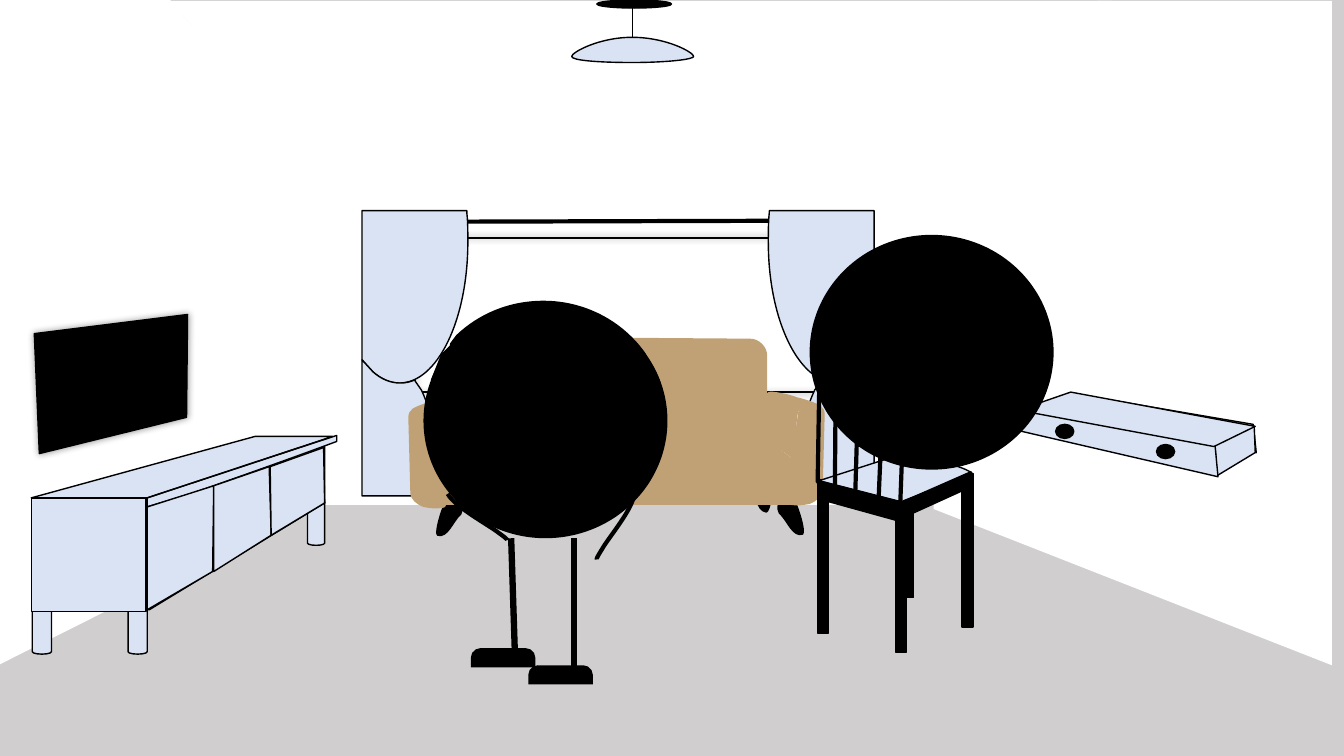
from dataclasses import dataclass

from lxml import etree
from pptx import Presentation
from pptx.dml.color import RGBColor
from pptx.enum.shapes import MSO_CONNECTOR, MSO_SHAPE as Shape
from pptx.oxml.ns import qn
from pptx.util import Inches, Pt

COLOURS = {"floor": "D0CECE", "wall": "FFFFFF", "ink": "000000",
           "furniture": "DAE3F3", "sofa": "C0A175"}
CELL = Inches(0.01)


def colour(name):
    return RGBColor.from_string(COLOURS[name])


def add_glow_shadow(shape):
    shadow = etree.SubElement(shape._element.spPr.find(qn("a:effectLst")), qn("a:outerShdw"),
                              blurRad=str(Pt(5)), dist="0", dir="0", rotWithShape="0")
    tint = etree.SubElement(shadow, qn("a:srgbClr"), val=COLOURS["ink"])
    etree.SubElement(tint, qn("a:alpha"), val="40000")


def style(shape, fill, line):
    shape.shadow.inherit = False
    if fill:
        shape.fill.solid()
        shape.fill.fore_color.rgb = colour(fill)
    else:
        shape.fill.background()
    if line:
        shape.line.color.rgb = colour("ink")
        shape.line.width = Pt(line)
    else:
        shape.line.fill.background()
    return shape


def read_outline(outline):
    """Split "x,y C x,y x,y x,y / ..." into point lists and the segments where curves start."""
    parts, curve_starts, segment_count = [], [], 0
    for part in outline.split("/"):
        points = []
        for token in part.split():
            if token == "C":
                curve_starts.append(segment_count + len(points) - 1)
            else:
                points.append(tuple(int(number) for number in token.split(",")))
        segment_count += len(points) - 1
        parts.append(points)
    return parts, curve_starts


def bend(shape, curve_starts):
    """Join three straight segments into one Bezier curve at each start."""
    segments = list(shape._element.spPr.iter(qn("a:lnTo")))
    for start in curve_starts:
        curve, *others = segments[start:start + 3]
        curve.tag = qn("a:cubicBezTo")
        for other in others:
            curve.append(other[0])
            other.getparent().remove(other)


@dataclass
class Box:
    """A region with its origin in inches, ruled in cells of 0.01 inch."""
    slide: object
    left: float
    top: float
    across: int = 1  # -1 mirrors the region

    def place(self, x, y):
        return Inches(self.left) + self.across * x * CELL, Inches(self.top) + y * CELL

    def draw(self, outline, fill="furniture", line=1, close=True):
        parts, curve_starts = read_outline(outline)
        builder = None
        for points in parts:
            start, *rest = [self.place(*point) for point in points]
            if builder is None:
                builder = self.slide.shapes.build_freeform(*start)
            else:
                builder.move_to(*start)
            builder.add_line_segments(rest, close=close)
        shape = builder.convert_to_shape()
        bend(shape, curve_starts)
        return style(shape, fill, line)

    def preset(self, kind, x, y, width, height, fill="ink", line=1):
        shape = self.slide.shapes.add_shape(kind, *self.place(x, y), width * CELL, height * CELL)
        return style(shape, fill, line)

    def stroke(self, start, end, width):
        line = self.slide.shapes.add_connector(MSO_CONNECTOR.STRAIGHT,
                                               *self.place(*start), *self.place(*end))
        line.line.color.rgb = colour("ink")
        line.line.width = Pt(width)
        etree.SubElement(line._element.spPr, qn("a:effectLst"))


def draw_walls(box):
    box.preset(Shape.RECTANGLE, 280, 135, 695, 366, "wall", None)
    for wall in ("167,1 1103,1 934,138 299,138",
                 "0,0 169,0 C 184,26 287,109 298,137 303,507 0,659",
                 "1088,1 1321,1 1321,660 926,505 C 924,328 926,312 925,135"):
        box.draw(wall, "wall", None)


def draw_television(box):
    add_glow_shadow(box.draw("0,19 152,0 151,102 5,138", "ink"))


def draw_curtain(box):
    box.draw("104,0 0,0 0,148 11,160 C 19,167 28,171 37,171 "
             "C 75,171 105,108 105,31 C 105,21 105,11 104,2")
    box.draw("0,148 0,283 79,283 79,278 C 79,239 71,204 59,178 52,168 "
             "C 48,170 43,171 38,171 C 28,171 19,167 11,160")


def draw_window(box):
    add_glow_shadow(box.preset(Shape.RECTANGLE, 53, 27, 401, 153, None, 1.5))
    box.stroke((75, 11), (425, 10), 3)
    draw_curtain(Box(box.slide, box.left + 5.08, box.top, -1))
    draw_curtain(box)


def draw_lamp(box):
    box.preset(Shape.OVAL, 25, 0, 74, 8)
    box.stroke((60, 4), (60, 54), 0.5)
    box.draw("0,56 C 0,52 27,37 60,37 C 94,37 121,52 121,56 "
             "C 121,59 94,62 60,62 C 27,62 0,60 0,56")


def draw_cabinet(box):
    for x, y, width, height in ((96, 166, 19, 51), (274, 64, 17, 45), (1, 166, 19, 51)):
        box.preset(Shape.CAN, x, y, width, height, "furniture")
    for panel in ("229,60 291,67 117,173 3,173",
                  "228,26 291,11 291,67 230,63",
                  "176,48 237,28 237,99 177,94",
                  "222,1 299,1 115,62 0,62 / 303,0 303,6 C 241,29 178,51 115,73 115,62",
                  "108,73 181,51 181,134 110,128"):
        box.draw(panel)
    box.preset(Shape.RECTANGLE, 0, 62, 114, 113, "furniture")
    for door in ("115,71 181,50 180,135 115,173",
                 "181,50 236,31 238,99 181,135",
                 "237,31 290,12 291,67 238,99"):
        box.draw(door)


def draw_sofa_legs(box):
    box.draw("9,6 C 14,3 19,5 22,9 C 25,15 32,37 29,40 C 19,43 14,26 6,19 C 3,13 5,9 9,6", "ink")
    box.draw("-11,-21 C -6,-22 -2,-18 -1,-13 C 0,-6 -3,17 -7,18 "
             "C -18,16 -16,-1 -20,-11 C -20,-17 -17,-21 -11,-21", "ink")


def draw_sofa_arm(box):
    for part in ("27,14 C 27,6 22,0 14,0 C 7,0 0,3 0,11 2,85 C 2,93 8,97 15,100 "
                 "C 21,101 27,102 33,101 C 40,101 38,93 38,85 C 35,60 30,37 27,14",
                 "60,37 C 61,36 61,20 62,12 C 62,4 61,-8 56,-11 C 53,-13 32,-8 28,-6 "
                 "C 19,-4 4,1 3,4 C 3,1 23,0 26,8 C 30,16 26,54 32,56 C 38,48 59,38 60,37"):
        box.draw(part, "sofa", None)


def draw_sofa(box):
    slide, left, top = box.slide, box.left, box.top
    draw_sofa_legs(Box(slide, left + 3.62, top + 1.55))
    draw_sofa_legs(Box(slide, left + 0.58, top + 1.56, -1))
    for part in ("56,19 C 56,10 61,1 70,1 206,0 339,1 C 348,1 356,9 356,18 356,102 "
                 "C 356,112 348,119 339,119 70,119 C 61,119 60,112 60,102 C 59,75 56,47 56,19",
                 "63,99 350,99 C 352,99 374,114 379,119 382,120 C 387,123 391,128 391,134 "
                 "391,151 C 391,160 384,166 376,166 37,166 C 29,166 22,160 22,151 22,134 "
                 "C 22,128 26,123 31,120 34,119 C 40,114 61,99 63,99"):
        box.draw(part, "sofa", None)
    draw_sofa_arm(Box(slide, left + 4.13, top + 0.65, -1))
    draw_sofa_arm(Box(slide, left, top + 0.68))


def draw_shelf(box):
    for panel in ("52,0 234,31 237,59 50,22",
                  "74,6 58,14 58,36 72,27",
                  "196,50 235,33 236,59 198,82",
                  "0,16 196,51 199,83 0,37",
                  "1,17 53,-1 236,33 195,53"):
        box.draw(panel)
    for x, y in ((138, 51), (38, 31)):
        box.preset(Shape.OVAL, x, y, 18, 14)


def draw_head(box):
    box.preset(Shape.OVAL, 0, 0, 242, 233, "ink", None)


def draw_standing_figure(box):
    box.draw("186,155 C 199,166 211,176 209,191 C 208,206 183,235 177,246 "
             "C 170,257 172,256 172,256", None, 3, close=False)
    box.stroke((149, 235), (149, 372), 4.5)
    box.stroke((87, 235), (91, 359), 4.5)
    draw_head(Box(box.slide, box.left, box.top + 0.02))
    for x, y in ((47, 344), (104, 361)):
        shoe = box.preset(Shape.ROUND_2_SAME_RECTANGLE, x, y, 64, 19, "ink", None)
        shoe.adjustments[0] = 0.5
    box.draw("24,191 C 31,204 65,222 75,230 C 85,237 83,237 83,237", None, 3, close=False)
    for lock in ("119,0 C 160,0 197,20 219,51 221,55 27,55 27,42 33,34 C 55,13 85,0 119,0",
                 "203,51 218,50 227,65 C 231,71 234,78 236,86 239,97 206,99",
                 "43,40 36,37 27,44 18,53 8,78 9,78 15,68 C 19,62 24,56 30,51"):
        box.draw(lock, "ink")


def draw_chair(box):
    for x, y, height in ((77, 134, 152), (84, 92, 140), (0, 115, 152), (143, 109, 152)):
        box.preset(Shape.RECTANGLE, x, y, 11, height)
    box.draw("88,88 C 110,95 143,100 154,109 82,137 1,116")
    box.draw("2,0 87,5 82,138 0,117", None, 3)
    for rail in ("1,117 77,138 77,155 1,134", "86,136 152,107 152,122 86,152"):
        box.draw(rail, "ink")
    for foot, tip in (((60, 144), (66, 4)), ((37, 138), (41, 3)), ((17, 130), (18, 3))):
        box.stroke(foot, tip, 3)


def main():
    deck = Presentation()
    deck.slide_width, deck.slide_height = Inches(13.33), Inches(7.5)
    slide = deck.slides.add_slide(deck.slide_layouts[6])
    slide.background.fill.solid()
    slide.background.fill.fore_color.rgb = colour("floor")
    for draw, left, top in ((draw_walls, 0, 0), (draw_television, 0.34, 3.12),
                            (draw_window, 3.59, 2.09), (draw_cabinet, 0.31, 4.32),
                            (draw_sofa, 4.05, 3.35), (draw_lamp, 5.67, 0),
                            (draw_shelf, 10.09, 3.9), (draw_standing_figure, 4.2, 2.99),
                            (draw_chair, 8.11, 3.61), (draw_head, 8.03, 2.33)):
        draw(Box(slide, left, top))
    deck.save("out.pptx")


if __name__ == "__main__":
    main()
